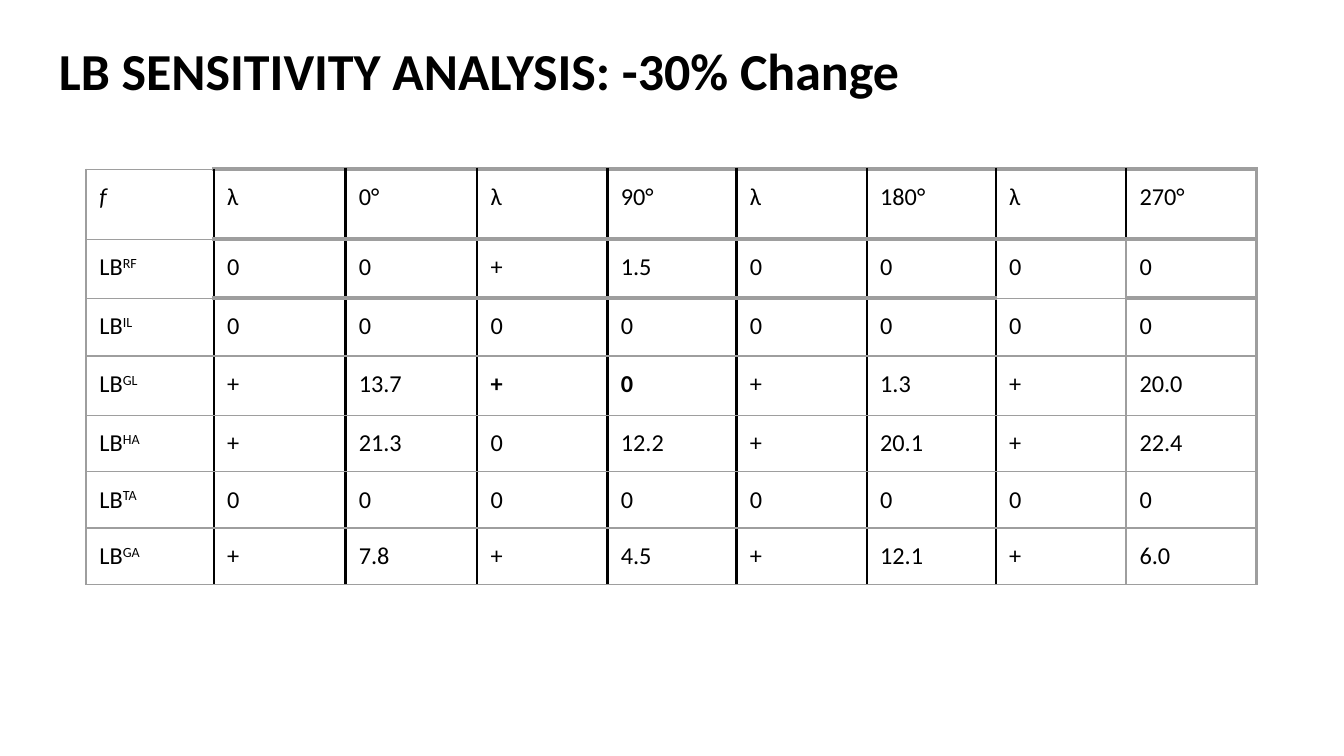
"""Build the LB sensitivity analysis slide with its table of angle results."""
import pptx
import pptx.dml.color
import pptx.enum.text
import pptx.oxml.ns
import pptx.util
from lxml import etree
from pptx.util import Inches

TITLE = "LB SENSITIVITY ANALYSIS: -30% Change"
HEADINGS = ["λ", "0°", "λ", "90°", "λ", "180°", "λ", "270°"]
RESULTS = {
    "RF": ["0", "0", "+", "1.5", "0", "0", "0", "0"],
    "IL": ["0", "0", "0", "0", "0", "0", "0", "0"],
    "GL": ["+", "13.7", "+", "0", "+", "1.3", "+", "20.0"],
    "HA": ["+", "21.3", "0", "12.2", "+", "20.1", "+", "22.4"],
    "TA": ["0", "0", "0", "0", "0", "0", "0", "0"],
    "GA": ["+", "7.8", "+", "4.5", "+", "12.1", "+", "6.0"],
}
BOLD_CELLS = {(3, 3), (3, 4)}
COLORS = {"text": "000000", "divider": "000000", "grid": "9E9E9E"}
FONT = "Calibri"
LEFT, TOP = 0.64, 1.26
WIDTHS = [0.95, 0.98, 0.98, 0.97, 0.96, 0.97, 0.96, 0.97, 0.97]
HEIGHTS = [0.52, 0.44, 0.43, 0.44] + [0.42] * 3
THIN, MEDIUM, THICK = 0.75, 1.5, 2.25


def write(frame, text, size=13, bold=False, italic=False, superscript=""):
    frame.margin_left = frame.margin_right = Inches(0.1)
    frame.margin_top = frame.margin_bottom = Inches(0.1)
    frame.word_wrap = True
    for part, raised in ((text, False), (superscript, True)):
        if not part:
            continue
        run = frame.paragraphs[0].add_run()
        run.text = part
        run.font.name = FONT
        run.font.size = pptx.util.Pt(size)
        run.font.bold = bold
        run.font.italic = italic
        run.font.color.rgb = pptx.dml.color.RGBColor.from_string(COLORS["text"])
        if raised:
            run.font._element.set("baseline", "30000")


def vertical_line(row, boundary):
    if boundary == 0:
        return "grid", THIN
    if boundary == len(WIDTHS):
        return "grid", THICK
    if boundary == len(WIDTHS) - 1 and row > 0:
        return "grid", THIN
    return "divider", MEDIUM


def horizontal_line(boundary, column):
    thick = column > 0 and (boundary < 2 or boundary == 2 and column != 7)
    return "grid", THICK if thick else THIN


def draw_borders(cell, row, column):
    properties = cell._tc.get_or_add_tcPr()
    borders = {
        "a:lnL": vertical_line(row, column),
        "a:lnR": vertical_line(row, column + 1),
        "a:lnT": horizontal_line(row, column),
        "a:lnB": horizontal_line(row + 1, column),
    }
    for tag, (color, width) in borders.items():
        line = etree.SubElement(properties, pptx.oxml.ns.qn(tag), w=str(pptx.util.Pt(width)))
        fill = etree.SubElement(line, pptx.oxml.ns.qn("a:solidFill"))
        etree.SubElement(fill, pptx.oxml.ns.qn("a:srgbClr"), val=COLORS[color])


def add_results(slide):
    rows = [["f", *HEADINGS]] + [["LB", *values] for values in RESULTS.values()]
    superscripts = ["", *RESULTS]
    table = slide.shapes.add_table(
        len(HEIGHTS), len(WIDTHS), Inches(LEFT), Inches(TOP),
        Inches(sum(WIDTHS)), Inches(sum(HEIGHTS))).table
    table.first_row = table.horz_banding = False
    for column, width in zip(table.columns, WIDTHS):
        column.width = Inches(width)
    for r, (values, height) in enumerate(zip(rows, HEIGHTS)):
        table.rows[r].height = Inches(height)
        for c, value in enumerate(values):
            cell = table.cell(r, c)
            cell.margin_left = cell.margin_right = Inches(0.1)
            cell.margin_top = cell.margin_bottom = Inches(0.1)
            cell.vertical_anchor = pptx.enum.text.MSO_ANCHOR.TOP
            write(cell.text_frame, value, bold=(r, c) in BOLD_CELLS,
                  italic=r == c == 0, superscript=superscripts[r] if c == 0 else "")
            draw_borders(cell, r, c)
            cell.fill.background()


def main():
    deck = pptx.Presentation()
    deck.slide_width = Inches(10)
    deck.slide_height = deck.slide_width * 9 // 16
    slide = deck.slides.add_slide(deck.slide_layouts[6])
    title = slide.shapes.add_textbox(Inches(0.34), Inches(0.19), Inches(9.32), Inches(0.63))
    write(title.text_frame, TITLE, size=27.8, bold=True)
    add_results(slide)
    deck.save("out.pptx")


if __name__ == "__main__":
    main()
